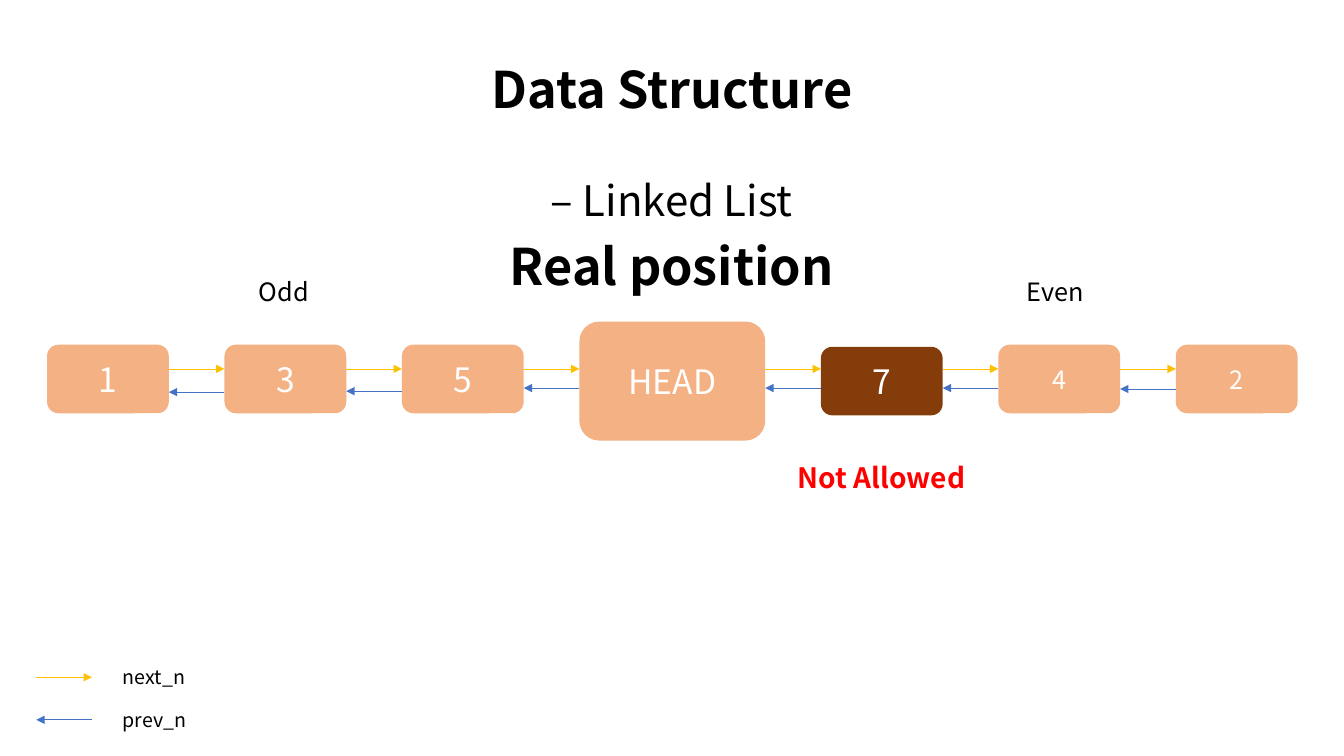
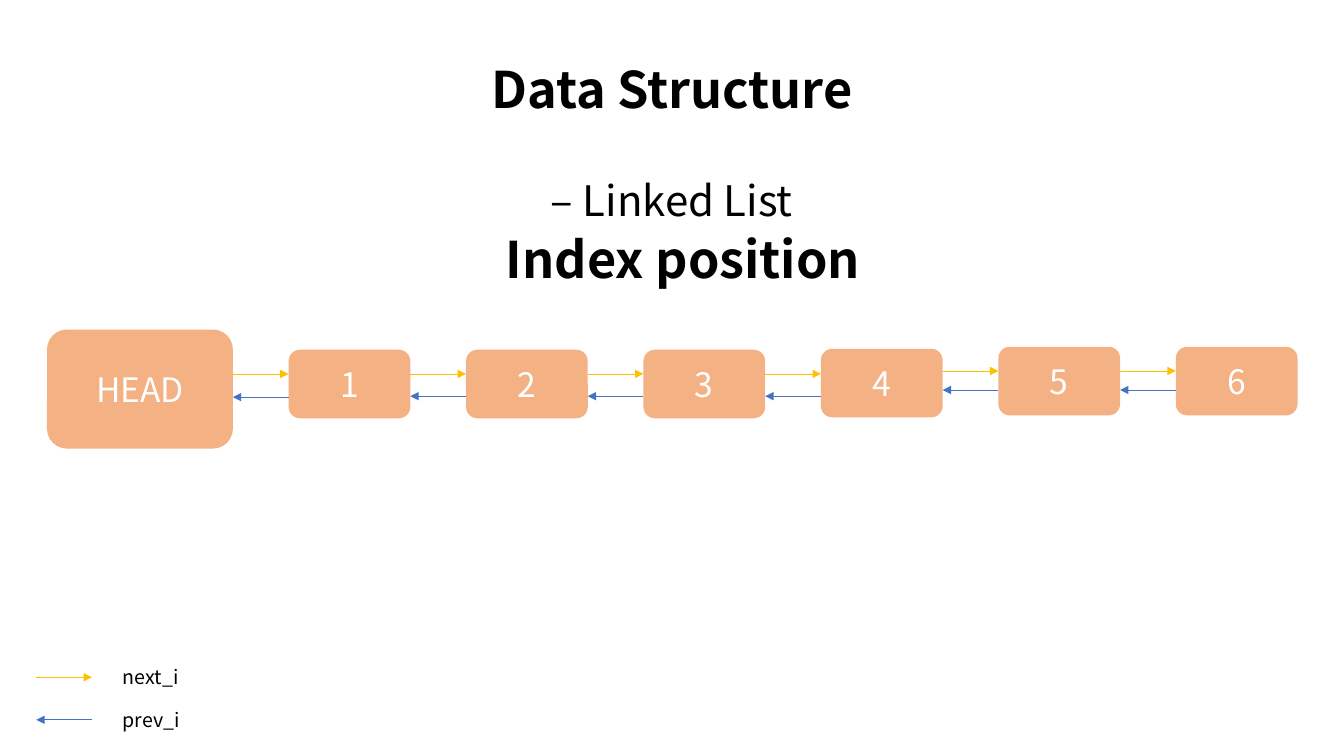
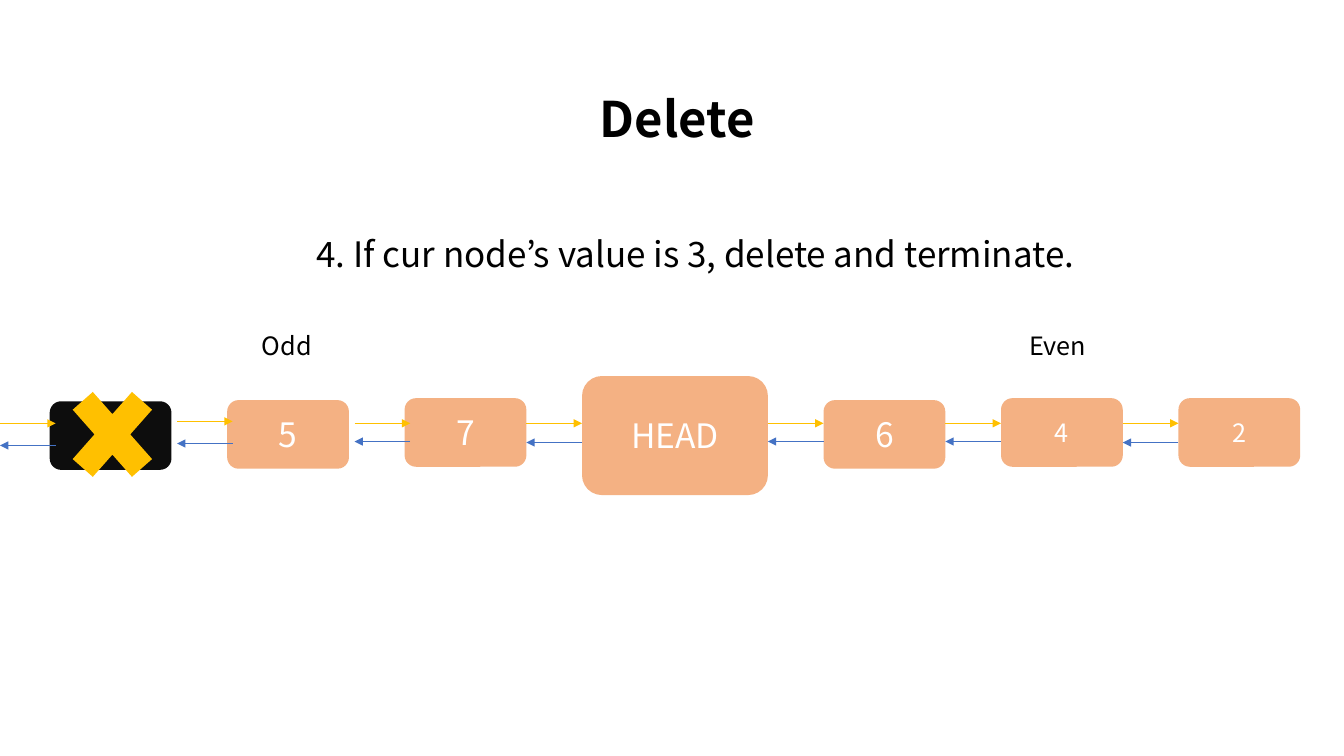
"""Build three slides on a doubly linked list: real order, index order and deletion."""
from lxml import etree
from pptx import Presentation
from pptx.dml.color import RGBColor
from pptx.enum.shapes import MSO_CONNECTOR, MSO_SHAPE
from pptx.enum.text import MSO_ANCHOR, PP_ALIGN
from pptx.oxml.ns import qn
from pptx.util import Pt

LEFT, CENTER = PP_ALIGN.LEFT, PP_ALIGN.CENTER
MIDDLE = MSO_ANCHOR.MIDDLE
STRAIGHT = MSO_CONNECTOR.STRAIGHT
ROUNDED, CROSS = MSO_SHAPE.ROUNDED_RECTANGLE, MSO_SHAPE.MATH_MULTIPLY

FONT = "Noto Sans CJK KR"
COLORS = {
    "text": "000000", "label": "FFFFFF", "warning": "FF0000",
    "node": "F4B183", "blocked": "843C0B", "deleted": "0D0D0D",
    "next": "FFC000", "prev": "4472C4", "cross": "FFC000",
}
NODE_SIZE = (87, 49)
HEAD_SIZE = (132.75, 85)
GAP = 39.75

TITLE = [("Data Structure", 36, True, 0), ("– Linked List", 30, False, 40)]
TITLE_BOX = (341.3, 38.2, 277.2, 87)

# Each node: label, top, label size, fill. Each link: next y, prev y, shift.
SLIDES = [
    {
        "titled": True,
        "legend": ["next_n", "prev_n"],
        "start": 33.6,
        "nodes": [
            ("1", 246.2, 24, "node"), ("3", 246.2, 24, "node"),
            ("5", 246.2, 24, "node"), ("HEAD", 229.7, 24, "node"),
            ("7", 247.7, 24, "blocked"), ("4", 246.2, 18, "node"),
            ("2", 246.2, 18, "node"),
        ],
        "links": [
            (263.5, 280.1, 0), (263.5, 279.4, 0), (263.5, 277.2, 0),
            (263.5, 277.2, 0), (263.5, 277.2, 0), (263.5, 277.9, 0),
        ],
        "texts": [
            ("Real position", (289.4, 164.2, 380.9, 51), 36, True, "text", CENTER),
            ("Odd", (177.8, 193.7, 52, 29), 18, False, "text", LEFT),
            ("Even", (726.5, 193.7, 60, 29), 18, False, "text", LEFT),
            ("Not Allowed", (494.6, 325.4, 270, 32), 20, True, "warning", CENTER),
        ],
    },
    {
        "titled": True,
        "legend": ["next_i", "prev_i"],
        "start": 33.6,
        "nodes": [
            ("HEAD", 235.4, 24, "node"), ("1", 249.8, 24, "node"),
            ("2", 249.8, 24, "node"), ("3", 249.8, 24, "node"),
            ("4", 249.1, 24, "node"), ("5", 247.7, 24, "node"),
            ("6", 247.7, 24, "node"),
        ],
        "links": [
            (267.1, 283.7, 0), (267.1, 283, 0), (267.1, 283, 0),
            (267.1, 283, 0), (265, 278.6, 0), (265, 278.6, 0),
        ],
        "texts": [
            ("Index position", (297.4, 159.1, 380.9, 51), 36, True, "text", CENTER),
        ],
    },
    {
        "start": 35.5,
        "nodes": [
            ("", 286.6, 24, "deleted"), ("5", 285.8, 24, "node"),
            ("7", 284.4, 24, "node"), ("HEAD", 268.6, 24, "node"),
            ("6", 285.8, 24, "node"), ("4", 284.4, 18, "node"),
            ("2", 284.4, 18, "node"),
        ],
        "links": [
            (301, 316.8, 4), (302.4, 315.4, 4), (302.4, 316.1, 0),
            (302.4, 315.4, 0), (302.4, 315.4, 0), (302.4, 316.1, 0),
        ],
        "incoming": (302.4, 318.2),
        "cross": (39.6, 264.2, 81.4, 92.2),
        "texts": [
            ("Delete", (421.2, 59.8, 131, 50), 35, True, "text", LEFT),
            ("4. If cur node’s value is 3, delete and terminate.",
             (218.9, 162.7, 576, 37.4), 25, False, "text", LEFT),
            ("Odd", (180, 232.6, 52, 29), 18, False, "text", LEFT),
            ("Even", (728, 232.6, 60, 29), 18, False, "text", LEFT),
        ],
    },
]


def color(key):
    return RGBColor.from_string(COLORS[key])


def add_words(paragraph, words, size, bold, ink, align):
    paragraph.alignment = align
    run = paragraph.add_run()
    run.text = words
    run.font.name = FONT
    run.font.size = Pt(size)
    run.font.bold = bold
    run.font.color.rgb = color(ink)


def add_frame(slide, box):
    frame = slide.shapes.add_textbox(*map(Pt, box)).text_frame
    frame.word_wrap = True
    return frame


def add_text(slide, words, box, size, bold, ink, align):
    add_words(add_frame(slide, box).paragraphs[0], words, size, bold, ink, align)


def add_title(slide):
    frame = add_frame(slide, TITLE_BOX)
    for i, (words, size, bold, before) in enumerate(TITLE):
        paragraph = frame.add_paragraph() if i else frame.paragraphs[0]
        paragraph.space_before = Pt(before)
        add_words(paragraph, words, size, bold, "text", CENTER)


def add_solid(slide, preset, box, fill):
    solid = slide.shapes.add_shape(preset, *map(Pt, box))
    solid.shadow.inherit = False
    solid.fill.solid()
    solid.fill.fore_color.rgb = color(fill)
    solid.line.fill.background()
    return solid


def add_arrow(slide, x1, x2, y, ink):
    arrow = slide.shapes.add_connector(STRAIGHT, Pt(x1), Pt(y), Pt(x2), Pt(y))
    arrow.line.color.rgb = color(ink)
    arrow.line.width = Pt(0.5)
    etree.SubElement(arrow.line._get_or_add_ln(), qn("a:tailEnd"), type="triangle")
    etree.SubElement(arrow._element.spPr, qn("a:effectLst"))


def add_link(slide, x, next_y, prev_y):
    add_arrow(slide, x, x + GAP, next_y, "next")
    add_arrow(slide, x + GAP, x, prev_y, "prev")


def add_chain(slide, start, nodes, links):
    x, gap_starts = start, []
    for label, top, size, fill in nodes:
        width, height = HEAD_SIZE if label == "HEAD" else NODE_SIZE
        node = add_solid(slide, ROUNDED, (x, top, width, height), fill)
        node.text_frame.vertical_anchor = MIDDLE
        if label:
            add_words(node.text_frame.paragraphs[0], label, size, False, "label", CENTER)
        gap_starts.append(x + width)
        x += width + GAP
    for gap_start, (next_y, prev_y, shift) in zip(gap_starts, links):
        add_link(slide, gap_start + shift, next_y, prev_y)


def add_legend(slide, names):
    first, pitch = 483.8, 30.4
    add_link(slide, 25.9, first, first + pitch)
    for i, name in enumerate(names):
        box = (80.6, first - 12.2 + i * pitch, 78, 24.5)
        add_text(slide, name, box, 14, False, "text", LEFT)


def main():
    deck = Presentation()
    deck.slide_width, deck.slide_height = Pt(960), Pt(540)
    for content in SLIDES:
        slide = deck.slides.add_slide(deck.slide_layouts[6])
        if "titled" in content:
            add_title(slide)
        add_chain(slide, content["start"], content["nodes"], content["links"])
        if "incoming" in content:
            add_link(slide, 0, *content["incoming"])
        if "cross" in content:
            add_solid(slide, CROSS, content["cross"], "cross")
        if "legend" in content:
            add_legend(slide, content["legend"])
        for text in content["texts"]:
            add_text(slide, *text)
    deck.save("out.pptx")


if __name__ == "__main__":
    main()
